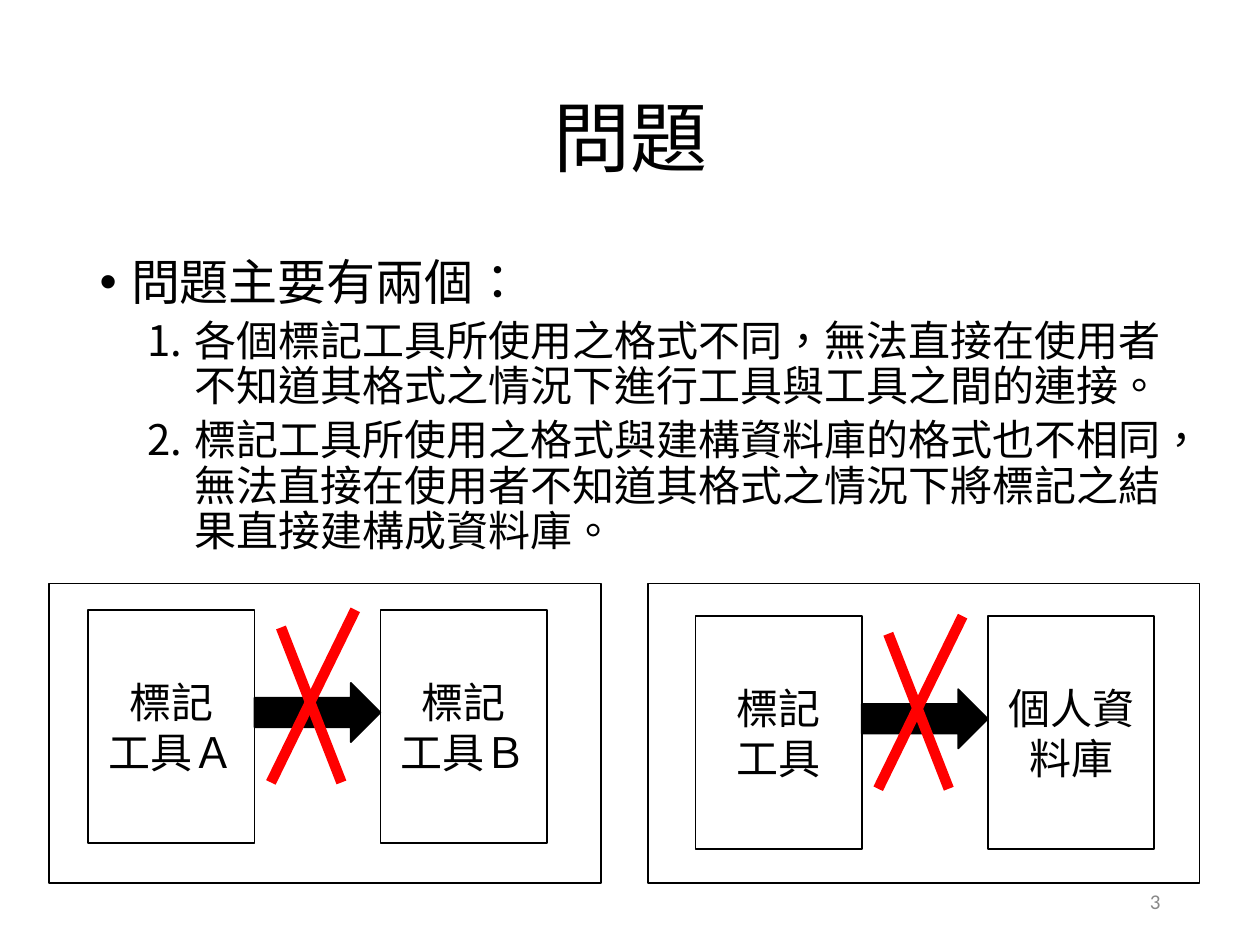
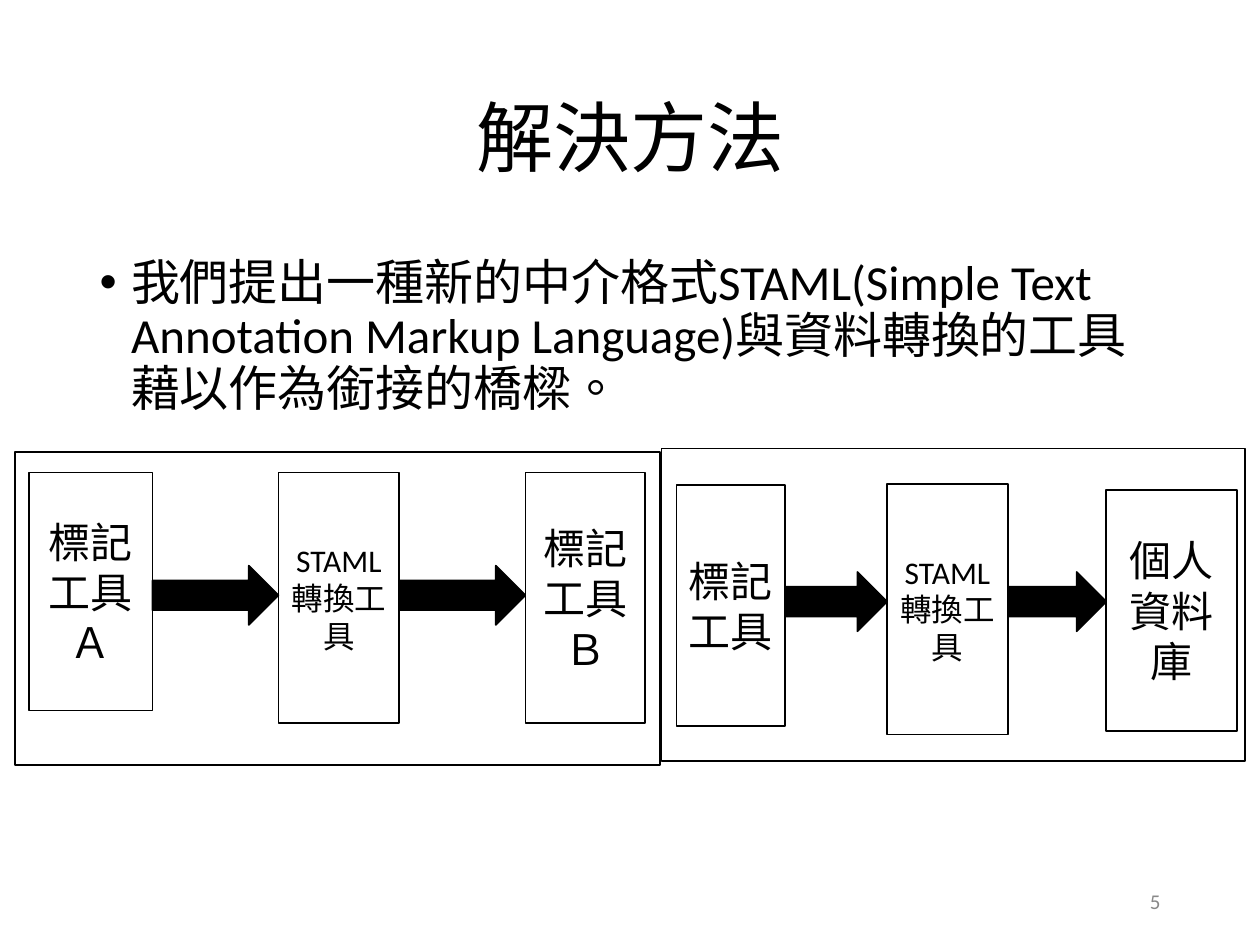
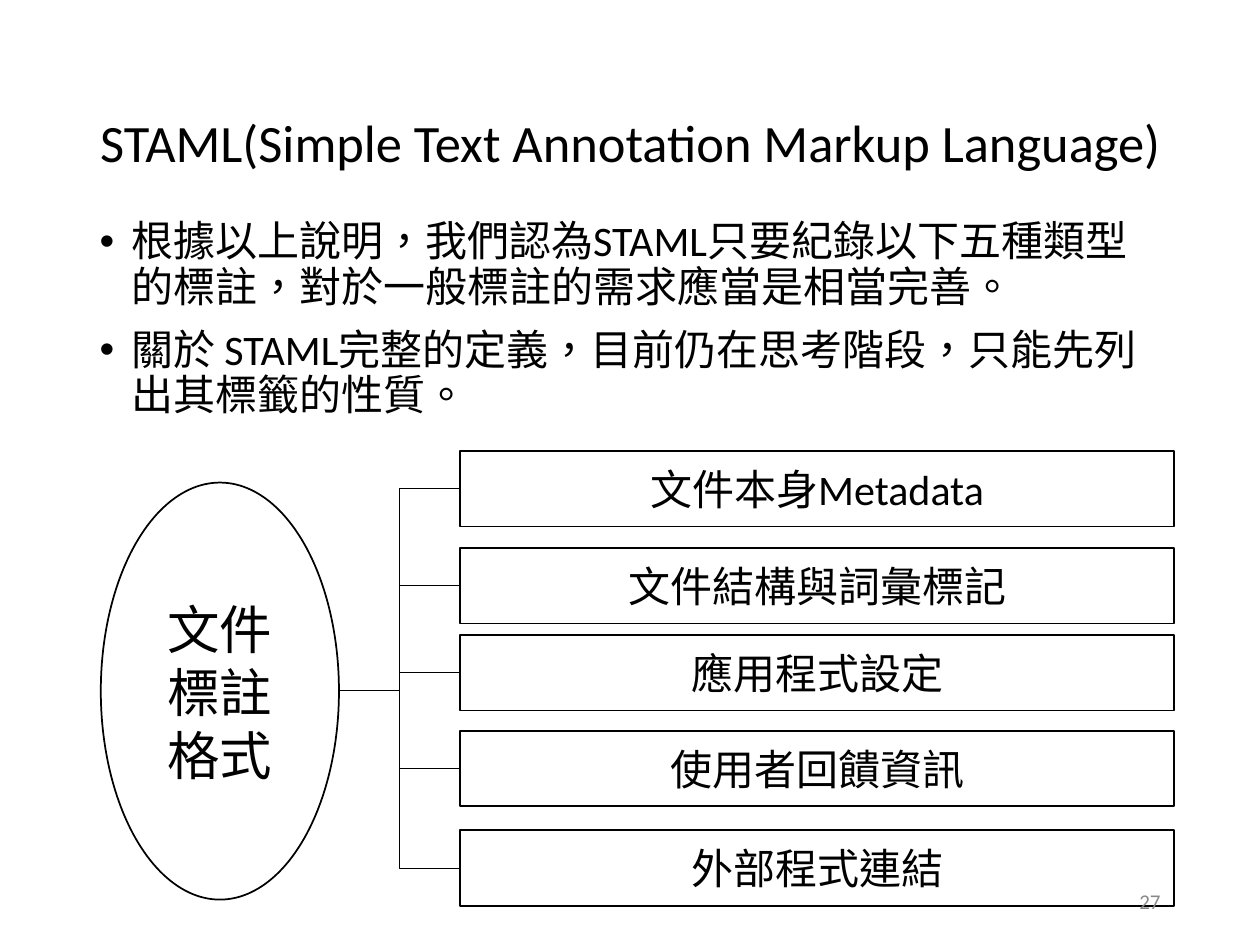
from pptx import Presentation
from pptx.dml.color import RGBColor
from pptx.enum import lang, shapes, text
from pptx.oxml import parse_xml
from pptx.oxml.ns import nsdecls
from pptx.util import Inches, Pt

BLACK = RGBColor(0x00, 0x00, 0x00)
WHITE = RGBColor(0xFF, 0xFF, 0xFF)
RED = RGBColor(0xFF, 0x00, 0x00)
GRAY = RGBColor(0x89, 0x89, 0x89)

SHAPE = shapes.MSO_SHAPE
CONNECTOR = shapes.MSO_CONNECTOR
ALIGN = text.PP_ALIGN
MIDDLE = text.MSO_ANCHOR.MIDDLE

FRAME_FORMAT = {
    "word_wrap": True,
    "auto_size": text.MSO_AUTO_SIZE.NONE,
}
BOX_MARGINS = {
    "margin_left": Inches(0.08),
    "margin_right": Inches(0.08),
    "margin_top": Inches(0.04),
    "margin_bottom": Inches(0.04),
}
# Per list level: left margin, hanging indent, space before, bullet element
LEVELS = [
    (0.25, -0.25, 10, '<a:buChar {} char="•"/>'),
    (0.75, -0.37, 5, '<a:buAutoNum {} type="arabicPeriod"/>'),
]
ARROW_HEIGHT = 0.47


def apply(target, values):
    for name, value in values.items():
        setattr(target, name, value)


def place(shape, left, top, width, height):
    apply(shape, {"left": Inches(left), "top": Inches(top),
                  "width": Inches(width), "height": Inches(height)})


def write(paragraph, words, size, color=BLACK):
    run = paragraph.add_run()
    run.text = words
    apply(run.font, {"name": "Calibri", "size": Pt(size),
                     "language_id": lang.MSO_LANGUAGE_ID.TRADITIONAL_CHINESE})
    run.font.color.rgb = color


def write_lines(frame, lines, size, align, color=BLACK):
    for index, line in enumerate(lines):
        paragraph = frame.add_paragraph() if index else frame.paragraphs[0]
        paragraph.alignment = align
        write(paragraph, line, size, color)


def add_title(slide, title, at, size):
    place(slide.shapes.title, *at)
    frame = slide.shapes.title.text_frame
    apply(frame, {**FRAME_FORMAT, "vertical_anchor": MIDDLE})
    write_lines(frame, [title], size, ALIGN.CENTER)
    frame.paragraphs[0].line_spacing = 0.9


def add_list(slide, items, at):
    """Fill the body placeholder with (level, size, words) items."""
    body = slide.placeholders[1]
    place(body, *at)
    frame = body.text_frame
    apply(frame, FRAME_FORMAT)
    for index, (level, size, words) in enumerate(items):
        margin, indent, before, bullet = LEVELS[level]
        paragraph = frame.add_paragraph() if index else frame.paragraphs[0]
        apply(paragraph, {"level": level, "line_spacing": 0.9,
                          "space_before": Pt(before if index else 0)})
        properties = paragraph._p.get_or_add_pPr()
        properties.set("marL", str(Inches(margin)))
        properties.set("indent", str(Inches(indent)))
        properties.append(parse_xml(bullet.format(nsdecls("a"))))
        write(paragraph, words, size)


def add_page_number(slide, number):
    footer = slide.shapes.add_textbox(
        Inches(7.06), Inches(6.95), Inches(2.25), Inches(0.4))
    apply(footer.text_frame, {**FRAME_FORMAT, "vertical_anchor": MIDDLE})
    write_lines(footer.text_frame, [str(number)], 12, ALIGN.RIGHT, GRAY)


def add_outlined(slide, kind, at, fill=None, lines=(), size=24):
    shape = slide.shapes.add_shape(kind, *map(Inches, at))
    shape.shadow.inherit = False
    if fill is None:
        shape.fill.background()
    else:
        shape.fill.solid()
        shape.fill.fore_color.rgb = fill
    shape.line.color.rgb = BLACK
    shape.line.width = Pt(1)
    apply(shape.text_frame,
          {**FRAME_FORMAT, **BOX_MARGINS, "vertical_anchor": MIDDLE})
    write_lines(shape.text_frame, lines, size, ALIGN.CENTER)


def add_line(slide, kind, start, end, color, width):
    line = slide.shapes.add_connector(kind, *map(Inches, (*start, *end)))
    line.line.color.rgb = color
    line.line.width = Pt(width)
    line._element.spPr.append(parse_xml(f"<a:effectLst {nsdecls('a')}/>"))


def add_flow(slide, panel, arrow_top, steps):
    """Framed row of (at, lines, size) boxes, an arrow filling each gap."""
    for at, lines, size in steps:
        add_outlined(slide, SHAPE.RECTANGLE, at, WHITE, lines, size)
    for (before, *_), (after, *_) in zip(steps, steps[1:]):
        start = before[0] + before[2]
        add_outlined(slide, SHAPE.RIGHT_ARROW,
                     (start, arrow_top, after[0] - start, ARROW_HEIGHT), BLACK)
    add_outlined(slide, SHAPE.RECTANGLE, panel)


def add_blocked_flow(slide, panel_left, left, top, source, target):
    steps = [((left + shift, top, 1.32, 1.85), lines, 24)
             for shift, lines in ((0, source), (2.32, target))]
    add_flow(slide, (panel_left, 4.63, 4.38, 2.38), top + 0.58, steps)
    for x1, y1, x2 in ((2.12, 0, 1.45), (1.53, 0.14, 2.01)):
        add_line(slide, CONNECTOR.STRAIGHT, (left + x1, top + y1),
                 (left + x2, top + 1.37), RED, 6)


def add_tag_tree(slide, root, branches):
    add_outlined(slide, SHAPE.OVAL, (0.8, 3.83, 1.89, 3.31),
                 lines=[root], size=30)
    for top, label in branches:
        add_outlined(slide, SHAPE.RECTANGLE, (3.65, top, 5.67, 0.6),
                     WHITE, [label])
        add_line(slide, CONNECTOR.ELBOW, (2.69, 5.48), (3.65, top + 0.3),
                 BLACK, 0.5)


def add_slide(deck, title, items, number, title_at=(0.69, 0.4, 8.63, 1.45),
              title_size=44, list_at=(0.69, 2, 8.63, 4.76)):
    slide = deck.slides.add_slide(deck.slide_layouts[1])
    add_title(slide, title, title_at, title_size)
    add_list(slide, items, list_at)
    return slide, number


def build_problem(deck):
    slide, number = add_slide(deck, "問題", [
        (0, 28, "問題主要有兩個："),
        (1, 24, "各個標記工具所使用之格式不同，無法直接在使用者不知道其格式之情況下"
                "進行工具與工具之間的連接。"),
        (1, 24, "標記工具所使用之格式與建構資料庫的格式也不相同，無法直接在使用者"
                "不知道其格式之情況下將標記之結果直接建構成資料庫。"),
    ], 3)
    add_blocked_flow(slide, 0.39, 0.7, 4.84,
                     ["標記", "工具Ａ"], ["標記", "工具Ｂ"])
    add_blocked_flow(slide, 5.14, 5.52, 4.89,
                     ["標記", "工具"], ["個人資料庫"])
    add_page_number(slide, number)


def build_solution(deck):
    slide, number = add_slide(deck, "解決方法", [
        (0, 28, "我們提出一種新的中介格式STAML(Simple Text Annotation Markup "
                "Language)與資料轉換的工具藉以作為銜接的橋樑。"),
    ], 5)
    converter = ["STAML", "轉換工具"]
    add_flow(slide, (0.12, 3.59, 5.12, 2.48), 4.49, [
        ((0.23, 3.75, 0.98, 1.89), ["標記", "工具Ａ"], 24),
        ((2.21, 3.75, 0.96, 1.99), converter, 18),
        ((4.17, 3.75, 0.95, 1.99), ["標記", "工具Ｂ"], 24),
    ])
    add_flow(slide, (5.25, 3.56, 4.63, 2.48), 4.54, [
        ((5.37, 3.85, 0.86, 1.91), ["標記", "工具"], 24),
        ((7.04, 3.84, 0.96, 1.99), converter, 18),
        ((8.78, 3.89, 1.04, 1.91), ["個人資料庫"], 24),
    ])
    add_page_number(slide, number)


def build_format(deck):
    slide, number = add_slide(
        deck, "STAML(Simple Text Annotation Markup Language)", [
            (0, 24, "根據以上說明，我們認為STAML只要紀錄以下五種類型的標註，"
                    "對於一般標註的需求應當是相當完善。"),
            (0, 24, "關於 STAML完整的定義，目前仍在思考階段，"
                    "只能先列出其標籤的性質。"),
        ], 27, (0.69, 0.61, 8.63, 1.09), 30, (0.69, 1.7, 8.63, 5.06))
    add_tag_tree(slide, "文件標註格式", [
        (3.58, "文件本身Metadata"),
        (4.35, "文件結構與詞彙標記"),
        (5.04, "應用程式設定"),
        (5.8, "使用者回饋資訊"),
        (6.59, "外部程式連結"),
    ])
    add_page_number(slide, number)


def main():
    deck = Presentation()
    deck.slide_width, deck.slide_height = Inches(10), Inches(7.5)
    build_problem(deck)
    build_solution(deck)
    build_format(deck)
    deck.save("out.pptx")


if __name__ == "__main__":
    main()
